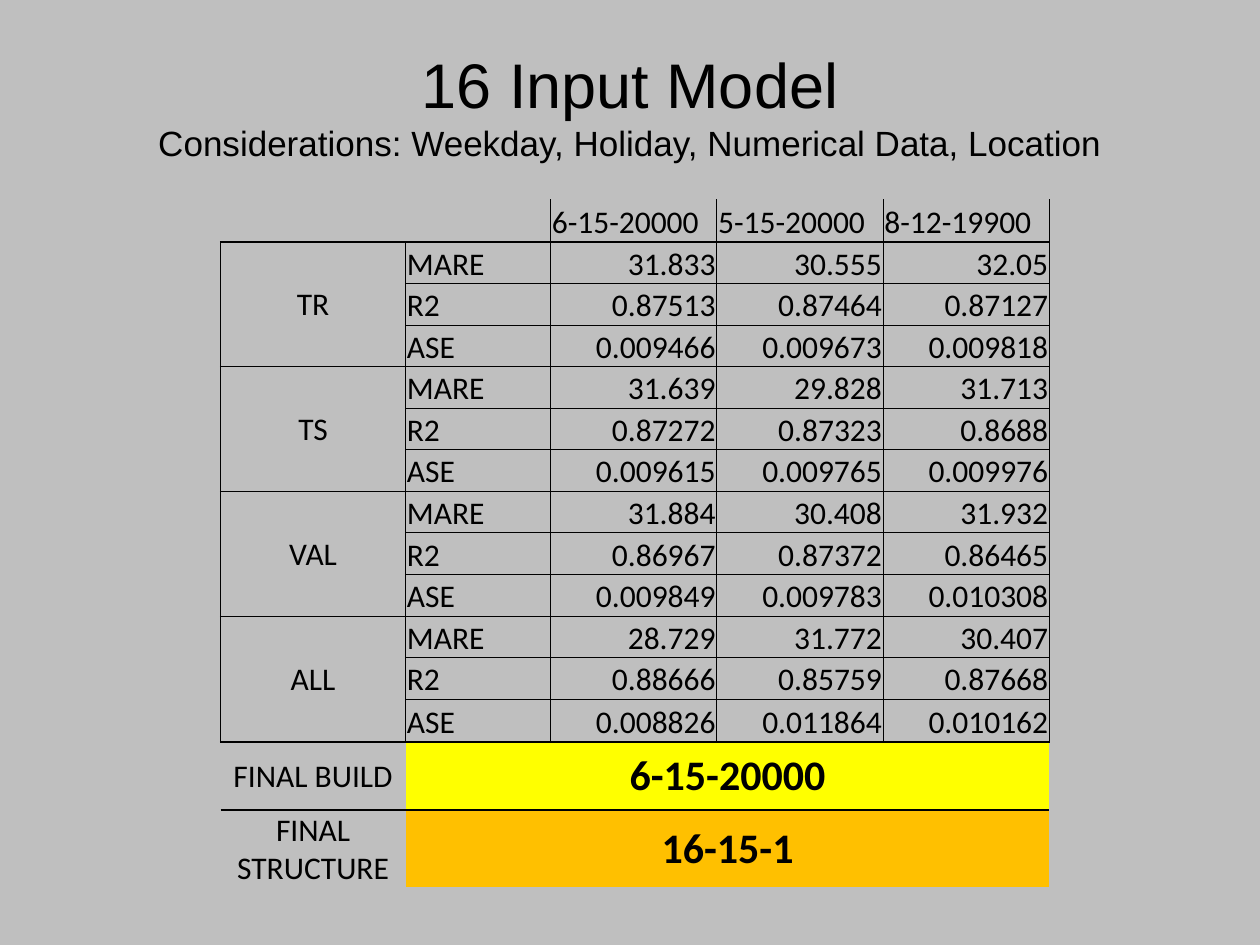
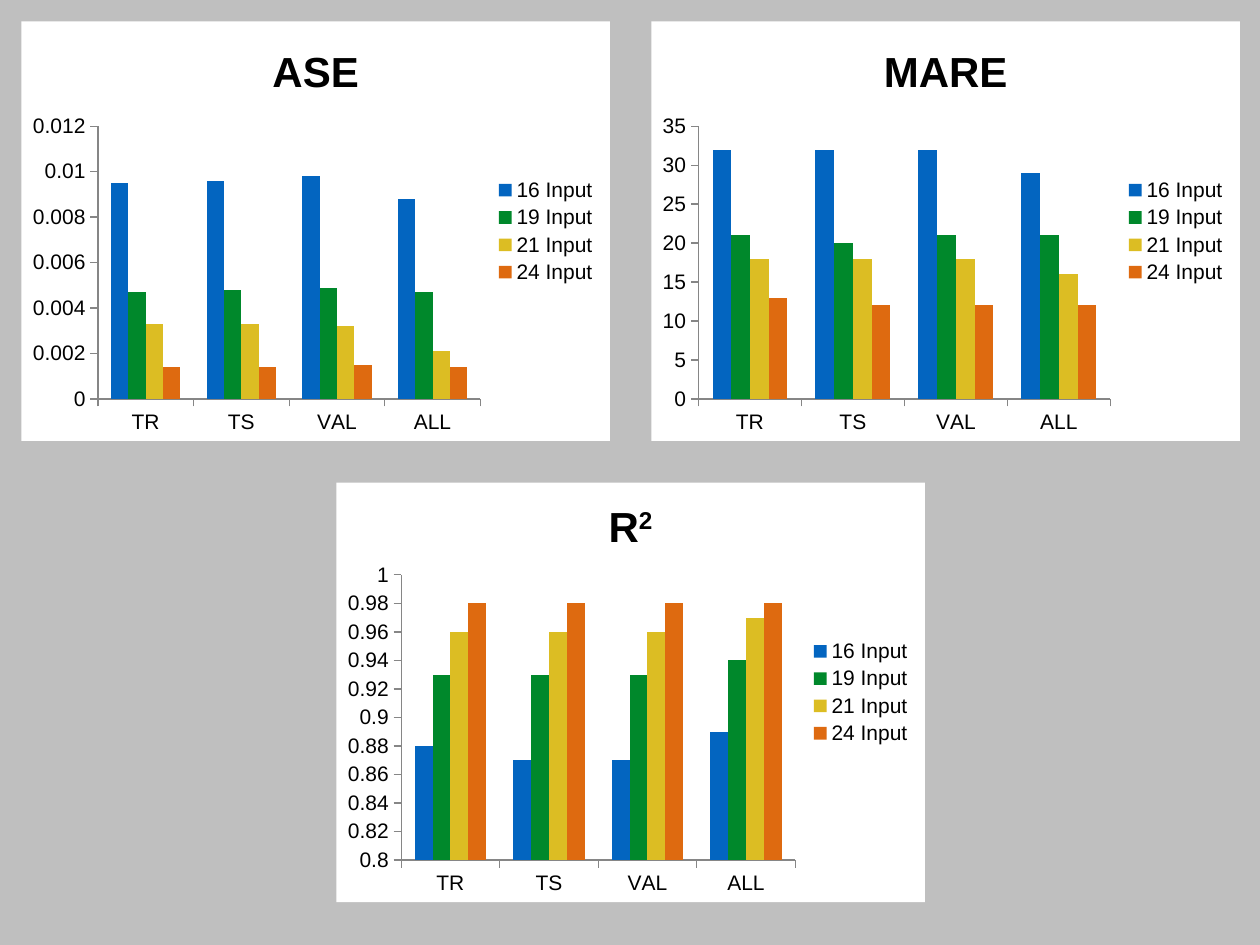
from lxml import etree
from pptx import Presentation
from pptx.chart.data import CategoryChartData
from pptx.dml.color import RGBColor
from pptx.enum.chart import XL_CHART_TYPE, XL_LEGEND_POSITION, XL_TICK_MARK
from pptx.enum.text import MSO_ANCHOR, PP_ALIGN
from pptx.oxml import parse_xml
from pptx.oxml.ns import nsdecls, qn
from pptx.util import Inches, Pt

COLUMNS = XL_CHART_TYPE.COLUMN_CLUSTERED
AT_RIGHT = XL_LEGEND_POSITION.RIGHT
OUT, NONE = XL_TICK_MARK.OUTSIDE, XL_TICK_MARK.NONE
MIDDLE, BOTTOM = MSO_ANCHOR.MIDDLE, MSO_ANCHOR.BOTTOM
LEFT, CENTER, RIGHT = PP_ALIGN.LEFT, PP_ALIGN.CENTER, PP_ALIGN.RIGHT

GREY = RGBColor(0xBF, 0xBF, 0xBF)
BLACK = RGBColor(0, 0, 0)
YELLOW = RGBColor(0xFF, 0xFF, 0)
ORANGE = RGBColor(0xFF, 0xC0, 0)
AXIS = RGBColor(0x86, 0x86, 0x86)
BARS = [RGBColor(0x03, 0x65, 0xC0), RGBColor(0x00, 0x88, 0x2B),
        RGBColor(0xDC, 0xBD, 0x23), RGBColor(0xDE, 0x6A, 0x10)]

TITLE = [("16 Input Model", 36),
         ("Considerations: Weekday, Holiday, Numerical Data, Location", 20)]

BUILDS = ["6-15-20000", "5-15-20000", "8-12-19900"]
RESULTS = {
    "TR": [("MARE", "31.833", "30.555", "32.05"),
           ("R2", "0.87513", "0.87464", "0.87127"),
           ("ASE", "0.009466", "0.009673", "0.009818")],
    "TS": [("MARE", "31.639", "29.828", "31.713"),
           ("R2", "0.87272", "0.87323", "0.8688"),
           ("ASE", "0.009615", "0.009765", "0.009976")],
    "VAL": [("MARE", "31.884", "30.408", "31.932"),
            ("R2", "0.86967", "0.87372", "0.86465"),
            ("ASE", "0.009849", "0.009783", "0.010308")],
    "ALL": [("MARE", "28.729", "31.772", "30.407"),
            ("R2", "0.88666", "0.85759", "0.87668"),
            ("ASE", "0.008826", "0.011864", "0.010162")],
}
FINALS = [("FINAL BUILD", "6-15-20000", YELLOW),
          ("FINAL STRUCTURE", "16-15-1", ORANGE)]
WIDTHS = [1.47, 1.15] + [1.32] * 3
HEIGHTS = [0.34] + [0.33] * 11 + [0.34, 0.54, 0.59]
LAST = 12  # last row of the results
NO_STYLE = "{2D5ABB26-0587-4C30-8999-92F81FD0307C}"

MODELS = ["16 Input", "19 Input", "21 Input", "24 Input"]
# scale is low, high, step; plot is left and top as shares of the chart
CHARTS = [
    {"title": "MARE", "raised": "", "at": (5.17, 0.17),
     "scale": (0, 35, 5), "plot": (0.08, 0.25),
     "rows": [(32, 32, 32, 29), (21, 20, 21, 21),
              (18, 18, 18, 16), (13, 12, 12, 12)]},
    {"title": "ASE", "raised": "", "at": (0.17, 0.17),
     "scale": (0, 0.012, 0.002), "plot": (0.13, 0.25),
     "rows": [(0.0095, 0.0096, 0.0098, 0.0088),
              (0.0047, 0.0048, 0.0049, 0.0047),
              (0.0033, 0.0033, 0.0032, 0.0021),
              (0.0014, 0.0014, 0.0015, 0.0014)]},
    {"title": "R", "raised": "2", "at": (2.67, 3.83),
     "scale": (0.8, 1, 0.02), "plot": (0.11, 0.22),
     "rows": [(0.88, 0.87, 0.87, 0.89), (0.93, 0.93, 0.93, 0.94),
              (0.96, 0.96, 0.96, 0.97), (0.98, 0.98, 0.98, 0.98)]},
]
CHART_SIZE = (4.67, 3.33)
PLOT_END = (0.78, 0.9)


def assign(thing, values):
    for name, value in values.items():
        setattr(thing, name, value)


def style(font, size, name="Arial", bold=False):
    assign(font, {"name": name, "size": Pt(size), "bold": bold})
    font.color.rgb = BLACK


def add_slide(deck):
    slide = deck.slides.add_slide(deck.slide_layouts[6])
    fill = slide.background.fill
    fill.solid()
    fill.fore_color.rgb = GREY
    return slide


def add_title(slide):
    box = slide.shapes.add_textbox(*map(Inches, (0.73, 0, 8.54, 1.66)))
    frame = box.text_frame
    edge = Inches(0.04)
    assign(frame, {"word_wrap": True, "vertical_anchor": MIDDLE,
                   "margin_left": edge, "margin_right": edge,
                   "margin_top": edge, "margin_bottom": edge})
    para = frame.paragraphs[0]
    para.alignment = CENTER
    for i, (text, size) in enumerate(TITLE):
        if i:
            para.add_line_break()
        run = para.add_run()
        run.text = text
        style(run.font, size)


def edges(row, col):
    """Border widths in points, by side, for one cell."""
    if row > LAST:
        return {"T": 1} if row == LAST + 1 else {}
    if row == 0:
        lines = {"L": 0.5} if col > 1 else {}
        if col:
            lines["R"] = 0.5
        return {**lines, "B": 1}
    end = LAST - 2 if col == 0 else LAST
    return {"L": 1 if col == 0 else 0.5, "R": 1 if col == 4 else 0.5,
            "T": 1 if row == 1 else 0.5, "B": 1 if row == end else 0.5}


def draw_edges(cell, lines):
    props = cell._tc.get_or_add_tcPr()
    for side in "LRTB":
        if side in lines:
            props.append(parse_xml(
                f'<a:ln{side} {nsdecls("a")} w="{Pt(lines[side])}">'
                f'<a:solidFill><a:srgbClr val="{BLACK}"/></a:solidFill>'
                f'</a:ln{side}>'))


def write(cell, text, align=CENTER, anchor=MIDDLE, size=18, bold=False):
    cell.vertical_anchor = anchor
    para = cell.text_frame.paragraphs[0]
    para.alignment = align
    run = para.add_run()
    run.text = text
    style(run.font, size, "Calibri", bold)


def add_results(slide):
    frame = slide.shapes.add_table(
        len(HEIGHTS), len(WIDTHS), Inches(1.75), Inches(1.58),
        Inches(sum(WIDTHS)), Inches(sum(HEIGHTS)))
    table = frame.table
    assign(table, {"first_row": False, "horz_banding": False})
    table._tbl.tblPr.find(qn("a:tableStyleId")).text = NO_STYLE
    for col, width in zip(table.columns, WIDTHS):
        col.width = Inches(width)
    for row, height in zip(table.rows, HEIGHTS):
        row.height = Inches(height)
    thin = Inches(0.01)
    for r in range(len(HEIGHTS)):
        for c in range(len(WIDTHS)):
            cell = table.cell(r, c)
            assign(cell, {"margin_left": thin, "margin_right": thin,
                          "margin_top": thin, "margin_bottom": 0})
            covered = c == 0 and 0 < r <= LAST and r % 3 != 1
            if not covered:
                draw_edges(cell, edges(r, c))
            cell.fill.background()

    for c, build in enumerate(BUILDS, 2):
        write(table.cell(0, c), build, LEFT, BOTTOM)
    for g, (group, rows) in enumerate(RESULTS.items()):
        top = 1 + 3 * g
        table.cell(top, 0).merge(table.cell(top + 2, 0))
        write(table.cell(top, 0), group)
        for r, row in enumerate(rows, top):
            for c, text in enumerate(row, 1):
                write(table.cell(r, c), text, LEFT if c == 1 else RIGHT, BOTTOM)
    for r, (label, value, color) in enumerate(FINALS, LAST + 1):
        write(table.cell(r, 0), label)
        cell = table.cell(r, 1)
        cell.merge(table.cell(r, 4))
        write(cell, value, size=24, bold=True)
        cell.fill.solid()
        cell.fill.fore_color.rgb = color


def place_plot(chart, start):
    area = chart._chartSpace.chart.plotArea
    for old in area.findall(qn("c:layout")):
        area.remove(old)
    layout = parse_xml(f'<c:layout {nsdecls("c")}><c:manualLayout/></c:layout>')
    sizes = [round(end - at, 2) for at, end in zip(start, PLOT_END)]
    marks = [("layoutTarget", "inner"), ("xMode", "edge"), ("yMode", "edge"),
             *zip("xywh", (*start, *sizes))]
    for name, value in marks:
        etree.SubElement(layout[0], qn(f"c:{name}")).set("val", str(value))
    area.insert(0, layout)


def add_chart(slide, item):
    data = CategoryChartData()
    data.categories = list(RESULTS)
    for model, row in zip(MODELS, item["rows"]):
        data.add_series(model, row)
    chart = slide.shapes.add_chart(
        COLUMNS, *map(Inches, item["at"] + CHART_SIZE), data).chart
    style(chart.font, 12)
    chart._chartSpace.chart.addnext(parse_xml(
        f'<c:spPr {nsdecls("c", "a")}><a:solidFill><a:srgbClr val="FFFFFF"/>'
        '</a:solidFill><a:ln><a:noFill/></a:ln></c:spPr>'))
    chart.has_title = True
    chart.chart_title.include_in_layout = False
    para = chart.chart_title.text_frame.paragraphs[0]
    for text in filter(None, (item["title"], item["raised"])):
        run = para.add_run()
        run.text = text
        style(run.font, 24, bold=True)
        if text == item["raised"]:
            run._r.get_or_add_rPr().set("baseline", "30000")
    chart.has_legend = True
    assign(chart.legend, {"position": AT_RIGHT, "include_in_layout": False})

    low, high, step = item["scale"]
    assign(chart.value_axis, {"minimum_scale": low, "maximum_scale": high,
                              "major_unit": step})
    for axis in (chart.category_axis, chart.value_axis):
        assign(axis, {"major_tick_mark": OUT, "minor_tick_mark": NONE,
                      "has_major_gridlines": False})
        assign(axis.tick_labels, {"number_format": "General",
                                  "number_format_is_linked": False})
        axis.format.line.color.rgb = AXIS
    plot = chart.plots[0]
    assign(plot, {"gap_width": 150, "overlap": 0, "vary_by_categories": False})
    for series, color in zip(plot.series, BARS):
        series.format.fill.solid()
        series.format.fill.fore_color.rgb = color
    place_plot(chart, item["plot"])


def main():
    deck = Presentation()
    assign(deck, {"slide_width": Inches(10), "slide_height": Inches(7.5)})
    slide = add_slide(deck)
    add_title(slide)
    add_results(slide)
    slide = add_slide(deck)
    for item in CHARTS:
        add_chart(slide, item)
    deck.save("out.pptx")


if __name__ == "__main__":
    main()
